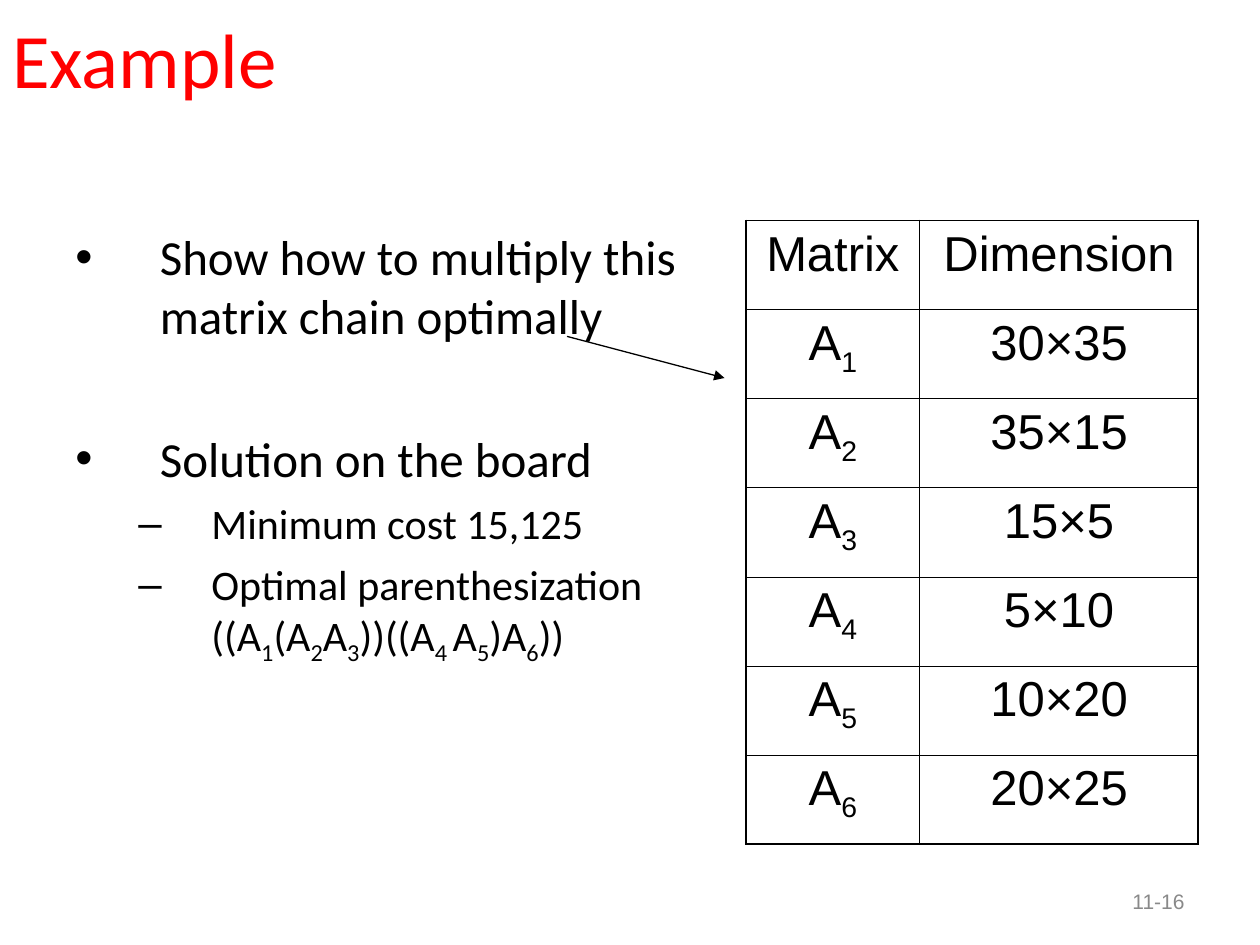
from lxml.etree import SubElement
from pptx import Presentation
from pptx.dml.color import RGBColor
from pptx.enum.shapes import MSO_CONNECTOR
from pptx.enum.text import MSO_ANCHOR, PP_ALIGN
from pptx.oxml import parse_xml
from pptx.oxml.ns import nsdecls, qn
from pptx.util import Inches, Pt

theme = {
    "ink": "000000", "title": "FF0000", "number": "898989",
    "body_font": "Calibri", "table_font": "Arial",
    "title_size": 44, "text_size": 28, "detail_size": 24, "number_size": 12,
    "outer_line": 1.08, "inner_line": 0.45, "arrow_line": 0.74,
}


def add_runs(paragraph, pieces, size, font, color):
    for piece in pieces:
        run = paragraph.add_run()
        run.text = piece.removeprefix("_")
        run.font.size = Pt(theme[size])
        run.font.name = theme[font]
        run.font.color.rgb = RGBColor.from_string(theme[color])
        if piece.startswith("_"):
            run.font._element.set("baseline", "-25000")


def add_text_frame(left, top, width, height, anchor):
    box = slide.shapes.add_textbox(
        Inches(left), Inches(top), Inches(width), Inches(height))
    frame = box.text_frame
    frame.word_wrap = True
    frame.vertical_anchor = anchor
    return frame


prs = Presentation()
prs.slide_width, prs.slide_height = Inches(10), Inches(7.5)
slide = prs.slides.add_slide(prs.slide_layouts[6])

page_number = add_text_frame(7.17, 6.95, 2.33, 0.4, MSO_ANCHOR.MIDDLE).paragraphs[0]
page_number.alignment = PP_ALIGN.RIGHT
add_runs(page_number, ["11-16"], "number_size", "table_font", "number")

title = add_text_frame(0, -0.17, 9, 1.25, MSO_ANCHOR.MIDDLE).paragraphs[0]
add_runs(title, ["Example"], "title_size", "body_font", "title")

levels = [("•", 0.67, 0.67, "text_size"), ("–", 1.08, 0.58, "detail_size")]
points = [
    (0, 7, ["Show how to multiply this matrix chain optimally"]),
    (0, 48, ["Solution on the board"]),
    (1, 6, ["Minimum cost 15,125"]),
    (1, 6, ["Optimal parenthesization ((A", "_1", "(A", "_2", "A", "_3", "))((A",
            "_4 ", "A", "_5", ")A", "_6", "))"]),
]
body = add_text_frame(0.5, 1.75, 5.17, 4.95, MSO_ANCHOR.TOP)
for index, (level, gap, pieces) in enumerate(points):
    point = body.paragraphs[0] if index == 0 else body.add_paragraph()
    bullet, margin, hanging, size = levels[level]
    point.level = level
    point.space_before = Pt(gap)
    properties = point._p.get_or_add_pPr()
    properties.set("marL", str(Inches(margin)))
    properties.set("indent", str(-Inches(hanging)))
    bullet_color = SubElement(properties, qn("a:buClr"))
    SubElement(bullet_color, qn("a:srgbClr"), val=theme["ink"])
    SubElement(properties, qn("a:buFont"), typeface="Arial")
    SubElement(properties, qn("a:buChar"), char=bullet)
    add_runs(point, pieces, size, "body_font", "ink")

dimensions = ["30×35", "35×15", "15×5", "5×10", "10×20", "20×25"]
rows = [(["Matrix"], ["Dimension"])]
rows += [(["A", f"_{n}"], [size]) for n, size in enumerate(dimensions, 1)]
matrices = slide.shapes.add_table(
    len(rows), 2, Inches(5.92), Inches(1.75), Inches(3.58), Inches(4.95)).table
matrices.first_row = matrices.horz_banding = False
for column, width in zip(matrices.columns, (1.38, 2.21)):
    column.width = Inches(width)
for r, row in enumerate(rows):
    matrices.rows[r].height = Inches(4.95 / len(rows))
    for c, pieces in enumerate(row):
        cell = matrices.cell(r, c)
        cell.fill.background()
        entry = cell.text_frame.paragraphs[0]
        entry.alignment = PP_ALIGN.CENTER
        entry.space_before = Pt(7)
        add_runs(entry, pieces, "text_size", "table_font", "ink")
        edges = {"L": c == 0, "R": c == 1, "T": r == 0, "B": r == len(rows) - 1}
        for position, (side, outer) in enumerate(edges.items()):
            weight = Pt(theme["outer_line" if outer else "inner_line"])
            cell._tc.get_or_add_tcPr().insert(position, parse_xml(
                f'<a:ln{side} {nsdecls("a")} w="{weight}"><a:solidFill>'
                f'<a:srgbClr val="{theme["ink"]}"/></a:solidFill></a:ln{side}>'))

arrow = slide.shapes.add_connector(
    MSO_CONNECTOR.STRAIGHT, Inches(4.5), Inches(2.67), Inches(5.75), Inches(3))
arrow.line.color.rgb = RGBColor.from_string(theme["ink"])
arrow.line.width = Pt(theme["arrow_line"])
SubElement(arrow.line._get_or_add_ln(), qn("a:tailEnd"), type="triangle")
SubElement(arrow._element.spPr, qn("a:effectLst"))

prs.save("out.pptx")
